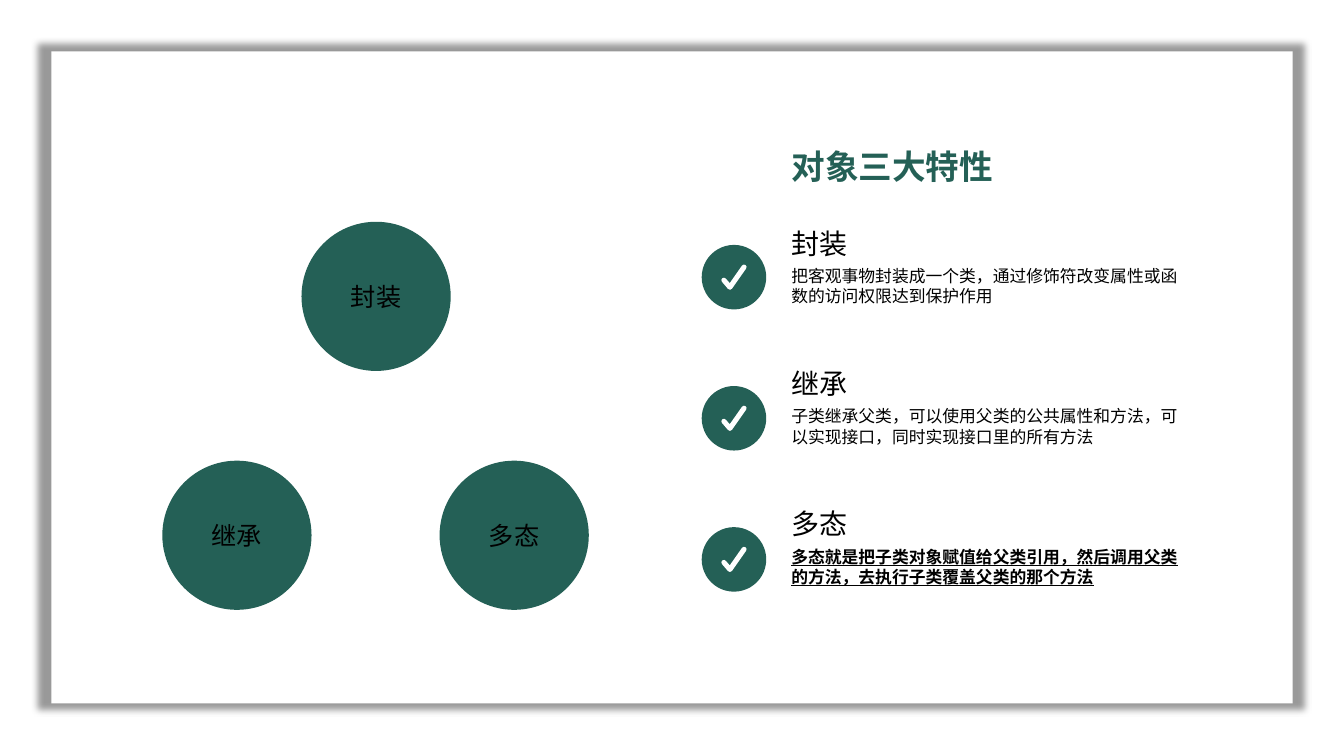
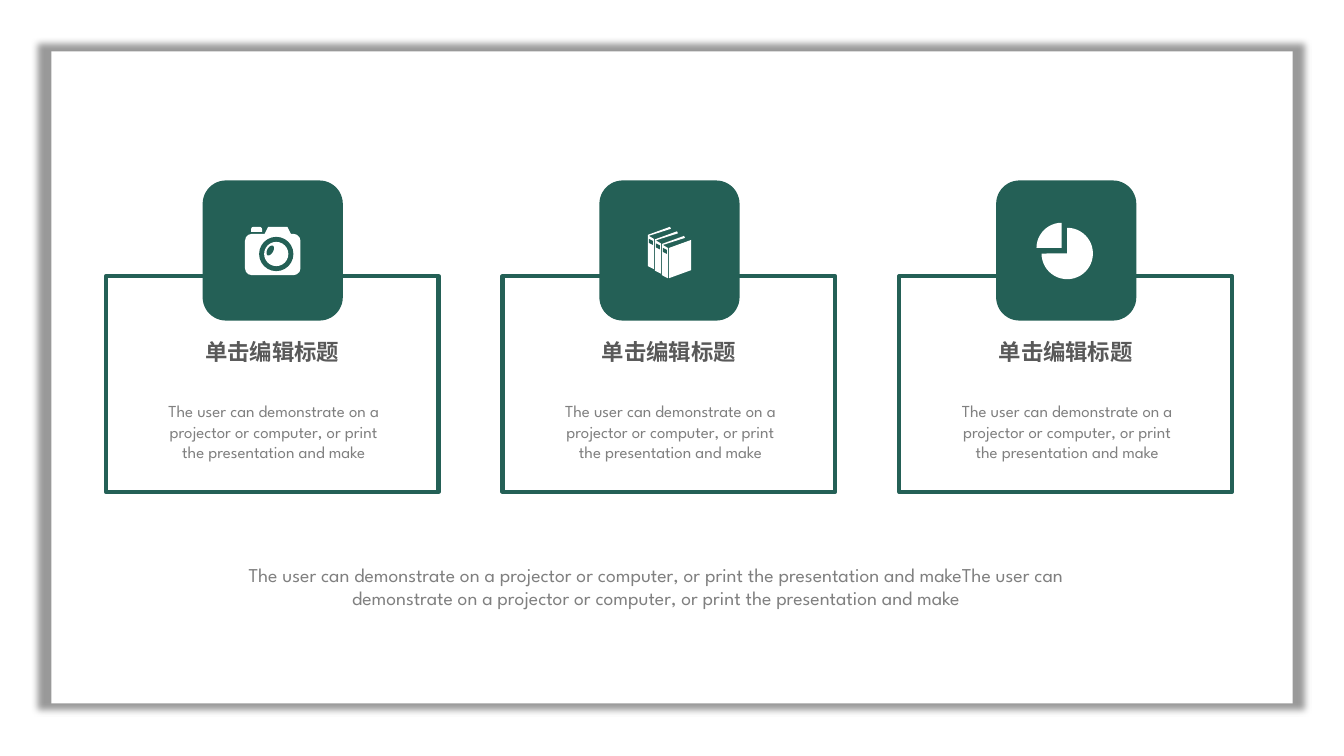
from lxml import etree
from pptx import Presentation
from pptx.dml.color import RGBColor
from pptx.enum import shapes, text
from pptx.oxml import parse_xml
from pptx.oxml.ns import nsdecls, qn
from pptx.util import Inches, Pt

GREEN = RGBColor(0x24, 0x60, 0x56)
WHITE = RGBColor(0xFF, 0xFF, 0xFF)
BLACK = RGBColor(0x00, 0x00, 0x00)
DARK = RGBColor(0x59, 0x59, 0x59)
GRAY = RGBColor(0x80, 0x80, 0x80)
SANS, LATIN, CJK = "Calibri", "League Spartan", "Noto Sans CJK SC"
SHAPE = shapes.MSO_SHAPE
LEFT, CENTER = text.PP_ALIGN.LEFT, text.PP_ALIGN.CENTER
TITLE_ONLY, BLANK = 5, 6

BLURB = "The user can demonstrate on a projector or computer, or print the presentation and make"


class Deck:
    """Holds the style and the current slide."""

    def __init__(self):
        self.prs = Presentation()
        self.prs.slide_width, self.prs.slide_height = Inches(13.33), Inches(7.5)
        self.s = None

    def new_slide(self, layout):
        self.s = self.prs.slides.add_slide(self.prs.slide_layouts[layout])

    def style(self, tf, words, size, font, color, align, bold=None, underline=None):
        tf.text = words
        p = tf.paragraphs[0]
        p.alignment = align
        f = p.font
        f.size, f.name, f.bold, f.underline = Pt(size), font, bold, underline
        f.color.rgb = color

    def title(self, words, x, y, w, h):
        sp = self.s.shapes.title
        sp.left, sp.top, sp.width, sp.height = map(Inches, (x, y, w, h))
        tf = sp.text_frame
        tf.vertical_anchor = text.MSO_ANCHOR.TOP
        tf.auto_size = text.MSO_AUTO_SIZE.NONE
        self.style(tf, words, 24, LATIN, GREEN, LEFT, bold=True)

    def text(self, words, x, y, w, h, size, font, color, align=LEFT, **kw):
        tf = self.s.shapes.add_textbox(*map(Inches, (x, y, w, h))).text_frame
        tf.word_wrap = True
        self.style(tf, words, size, font, color, align, **kw)
        return tf

    def paint(self, sp, fill=None, line=None, width=0):
        sp.shadow.inherit = False
        if fill is None:
            sp.fill.background()
        else:
            sp.fill.solid()
            sp.fill.fore_color.rgb = fill
        if line is None:
            sp.line.fill.background()
        else:
            sp.line.color.rgb = line
            sp.line.width = Pt(width)
        return sp

    def shape(self, kind, x, y, w, h, fill=None, line=None, width=0, adjust=()):
        sp = self.s.shapes.add_shape(kind, *map(Inches, (x, y, w, h)))
        for i, value in enumerate(adjust):
            sp.adjustments[i] = value
        return self.paint(sp, fill, line, width)

    def outline(self, points, dx=0, dy=0, close=True, **paint):
        pts = [(Inches(x + dx), Inches(y + dy)) for x, y in points]
        fb = self.s.shapes.build_freeform(*pts[0], scale=1.0)
        fb.add_line_segments(pts[1:], close=close)
        return self.paint(fb.convert_to_shape(), **paint)

    def master_panel(self):
        """White panel with a soft, slightly enlarged shadow, behind every slide."""
        sp = self.shape(SHAPE.RECTANGLE, 0.51, 0.51, 12.31, 6.47, WHITE)
        effects = sp.element.spPr.find(qn("a:effectLst"))
        effects.append(parse_xml(
            f'<a:outerShdw {nsdecls("a")} blurRad="63500" sx="102000" sy="102000" '
            'algn="ctr" rotWithShape="0"><a:srgbClr val="000000">'
            '<a:alpha val="40000"/></a:srgbClr></a:outerShdw>'))
        self.prs.slide_master.shapes.element.insert(2, sp.element)

    def labelled_circle(self, words, x, y, d):
        sp = self.shape(SHAPE.OVAL, x, y, d, d, GREEN)
        self.style(sp.text_frame, words, 18, SANS, BLACK, CENTER)

    def check(self, x, y):
        self.shape(SHAPE.OVAL, x, y, 0.64, 0.64, GREEN)
        tick = self.outline([(0.22, 0.35), (0.28, 0.42), (0.42, 0.22)], x, y,
                            close=False, line=WHITE, width=3.6)
        ln = tick.element.spPr.find(qn("a:ln"))
        ln.set("cap", "rnd")
        etree.SubElement(ln, qn("a:round"))

    def card(self, x, heading, body):
        self.shape(SHAPE.RECTANGLE, x, 2.74, 3.3, 2.14, line=GREEN, width=3)
        self.shape(SHAPE.ROUNDED_RECTANGLE, x + 0.96, 1.79, 1.39, 1.39, GREEN)
        self.text(heading, x + 0.41, 3.31, 2.48, 0.37, 16, CJK, DARK, CENTER, bold=True)
        self.text(body, x + 0.44, 3.93, 2.45, 0.91, 12, LATIN, GRAY, CENTER)

    # Icons, placed from the left edge of their card
    def camera(self, x):
        self.shape(SHAPE.ROUND_2_SAME_RECTANGLE, x + 1.44, 2.25, 0.11, 0.05, WHITE,
                   adjust=(0.5, 0))
        self.shape(SHAPE.TRAPEZOID, x + 1.57, 2.25, 0.27, 0.08, WHITE, adjust=(0.5,))
        self.shape(SHAPE.ROUNDED_RECTANGLE, x + 1.38, 2.32, 0.55, 0.41, WHITE)
        self.shape(SHAPE.OVAL, x + 1.52, 2.35, 0.34, 0.34, GREEN)
        self.shape(SHAPE.OVAL, x + 1.57, 2.4, 0.24, 0.24, WHITE)
        glint = self.shape(SHAPE.OVAL, x + 1.6, 2.43, 0.06, 0.11, GREEN)
        glint.rotation = 30

    def books(self, x):
        spine = [(1.44, 2.33), (1.66, 2.25), (1.67, 2.27), (1.45, 2.34),
                 (1.5, 2.37), (1.5, 2.67), (1.44, 2.64)]
        label = [(1.45, 2.37), (1.49, 2.39), (1.49, 2.43), (1.45, 2.41)]
        for i in range(3):
            for points, color in ((spine, WHITE), (label, GREEN)):
                self.outline(points, x + 0.07 * i, 0.045 * i, fill=color)
        self.outline([(1.65, 2.46), (1.87, 2.38), (1.87, 2.68), (1.65, 2.76)], x, fill=WHITE)

    def pie(self, x):
        # Angles in units of 100000/60000 degrees: from 270 round to 180
        self.shape(SHAPE.PIE, x + 1.41, 2.26, 0.51, 0.51, WHITE, adjust=(162, 108))
        self.shape(SHAPE.PIE_WEDGE, x + 1.36, 2.21, 0.25, 0.25, WHITE)


def features_slide(deck):
    deck.new_slide(TITLE_ONLY)
    deck.master_panel()
    deck.title("对象三大特性", 7.75, 1.4, 4.3, 0.5)

    # Three circles
    for words, x, y in (("封装", 2.99, 2.2), ("多态", 4.36, 4.57), ("继承", 1.61, 4.57)):
        deck.labelled_circle(words, x, y, 1.48)

    # Checked explanations
    strong = {"bold": True, "underline": True}
    features = (
        ("封装", "把客观事物封装成一个类，通过修饰符改变属性或函数的访问权限达到保护作用", {}),
        ("继承", "子类继承父类，可以使用父类的公共属性和方法，可以实现接口，同时实现接口里的所有方法", {}),
        ("多态", "多态就是把子类对象赋值给父类引用，然后调用父类的方法，去执行子类覆盖父类的那个方法", strong),
    )
    for i, (heading, body, emphasis) in enumerate(features):
        deck.check(6.96, 2.43 + 1.4 * i)
        y = 2.2 + 1.39 * i
        deck.text(heading, 7.75, y, 0.76, 0.44, 20, SANS, BLACK)
        deck.text(body, 7.75, y + 0.39, 4.11, 0.5, 12, SANS, BLACK, **emphasis)


def cards_slide(deck):
    deck.new_slide(BLANK)
    # Cards at an equal pitch
    for i, icon in enumerate((deck.camera, deck.books, deck.pie)):
        x = 1.05 + 3.935 * i
        deck.card(x, "单击编辑标题", BLURB)
        icon(x)

    # Closing text
    tf = deck.text(BLURB * 2, 1.9, 5.51, 9.22, 0.84, 14, LATIN, GRAY, CENTER)
    tf.margin_left = tf.margin_right = Inches(0.13)
    tf.margin_top = tf.margin_bottom = Inches(0.07)


def main():
    deck = Deck()
    features_slide(deck)
    cards_slide(deck)
    deck.prs.save("out.pptx")


if __name__ == "__main__":
    main()
